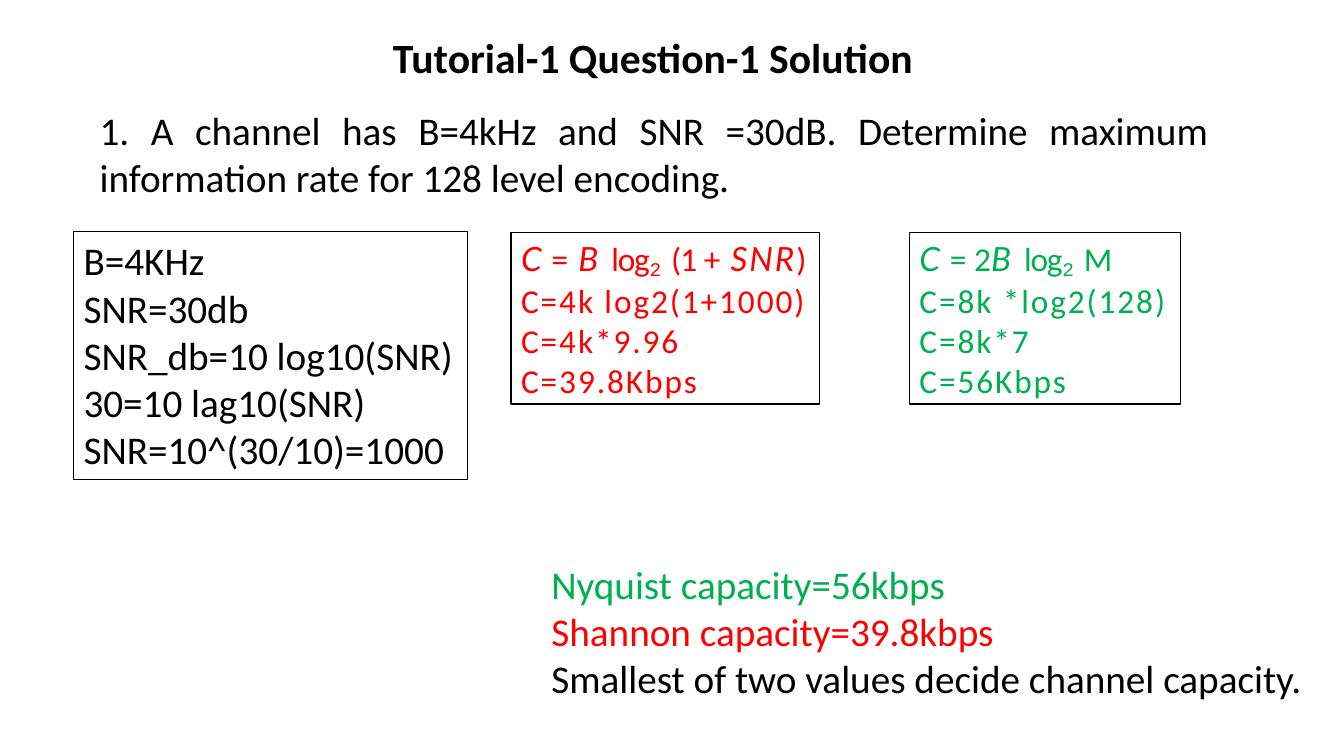
import pptx
import pptx.util
import pptx.dml.color
import pptx.enum.shapes
import pptx.enum.text

Inches, Pt = pptx.util.Inches, pptx.util.Pt
Align, Fit = pptx.enum.text.PP_ALIGN, pptx.enum.text.MSO_AUTO_SIZE
BLACK, RED, GREEN = "000000", "FF0000", "00B050"


def color(text):
    return pptx.dml.color.RGBColor.from_string(text)


def add_run(para, text, size, hue, face="Calibri", space=0, base=0):
    run = para.add_run()
    run.text = text
    run.font.name, run.font.size = face, Pt(size)
    run.font.color.rgb = color(hue)
    run.font.italic = face == "Lato"
    props = run.font._element
    if space:
        props.set("spc", str(round(space * 100)))
    if base:
        props.set("baseline", str(base * 1000))
    return run


deck = pptx.Presentation()
deck.slide_width, deck.slide_height = Inches(13.33), Inches(7.5)
slide = deck.slides.add_slide(deck.slide_layouts[5])
shapes = slide.shapes

# Title
title = shapes.title
title.left, title.top = Inches(0.73), Inches(0.39)
title.width, title.height = Inches(11.5), Inches(0.42)
frame = title.text_frame
frame.auto_size = Fit.NONE
frame.vertical_anchor = pptx.enum.text.MSO_ANCHOR.MIDDLE
para = frame.paragraphs[0]
para.alignment, para.line_spacing = Align.CENTER, 0.9
add_run(para, "Tutorial-1 Question-1 Solution", 29.7, BLACK).font.bold = True

# Question and summary
question = [("1. A channel has B=4kHz and SNR =30dB. Determine maximum "
             "information rate for 128 level encoding.", BLACK)]
summary = [("Nyquist capacity=56kbps", GREEN),
           ("Shannon capacity=39.8kbps", RED),
           ("Smallest of two values decide channel capacity.", BLACK)]
for place, lines, align in [
        ((0.89, 1.01, 11.19, 1.04), question, Align.JUSTIFY),
        ((5.37, 5.51, 9.02, 1.51), summary, Align.LEFT)]:
    frame = shapes.add_textbox(*map(Inches, place)).text_frame
    frame.word_wrap, frame.auto_size = True, Fit.SHAPE_TO_FIT_TEXT
    for i, (text, hue) in enumerate(lines):
        para = frame.add_paragraph() if i else frame.paragraphs[0]
        para.alignment = align
        add_run(para, text, 28, hue)

# Formula parts: text, font, letter spacing, baseline
log = [("B ", "Lato", 1.9), ("log", "Calibri", -0.9),
       ("2 ", "Courier New", -1.3, -17)]
shannon = [("C ", "Lato", 0.7), ("= ", "Calibri", 0.9), *log,
           ("(1 ", "Calibri", -0.6), ("+ ", "Calibri", 0.9),
           ("SNR", "Lato", 1.4), (")", "Calibri", 1.4)]
nyquist = [("C ", "Lato", 0.7), ("=", "Calibri", 0.9),
           (" 2", "Calibri", -0.8), *log, ("M", "Calibri", -0.6)]

# Framed workings: place, size, colour, letter spacing, formula, lines
boxes = [
    ((0.73, 2.3, 3.91, 2.46), 28, BLACK, 0, [],
     ["B=4KHz", "SNR=30db", "SNR_db=10 log10(SNR)", "30=10 lag10(SNR)",
      "SNR=10^(30/10)=1000"]),
    ((5.07, 2.31, 3.06, 1.7), 23.8, RED, 1.4, shannon,
     ["C=4k log2(1+1000)", "C=4k*9.96", "C=39.8Kbps"]),
    ((9.02, 2.31, 2.69, 1.7), 23.8, GREEN, 1.4, nyquist,
     ["C=8k *log2(128)", "C=8k*7", "C=56Kbps"]),
]
for place, size, hue, space, formula, lines in boxes:
    box = shapes.add_shape(pptx.enum.shapes.MSO_SHAPE.RECTANGLE,
                           *map(Inches, place))
    box.shadow.inherit = False
    box.fill.solid()
    box.fill.fore_color.rgb = color("FFFFFF")
    box.line.color.rgb, box.line.width = color(BLACK), Pt(1)
    frame = box.text_frame
    frame.word_wrap, frame.auto_size = False, Fit.SHAPE_TO_FIT_TEXT
    frame.vertical_anchor = pptx.enum.text.MSO_ANCHOR.TOP
    rows = [[(text, "Calibri", space)] for text in lines]
    if formula:
        rows.insert(0, formula)
    for i, row in enumerate(rows):
        para = frame.add_paragraph() if i else frame.paragraphs[0]
        para.alignment = Align.LEFT
        for text, *style in row:
            add_run(para, text, size, hue, *style)

deck.save("out.pptx")
